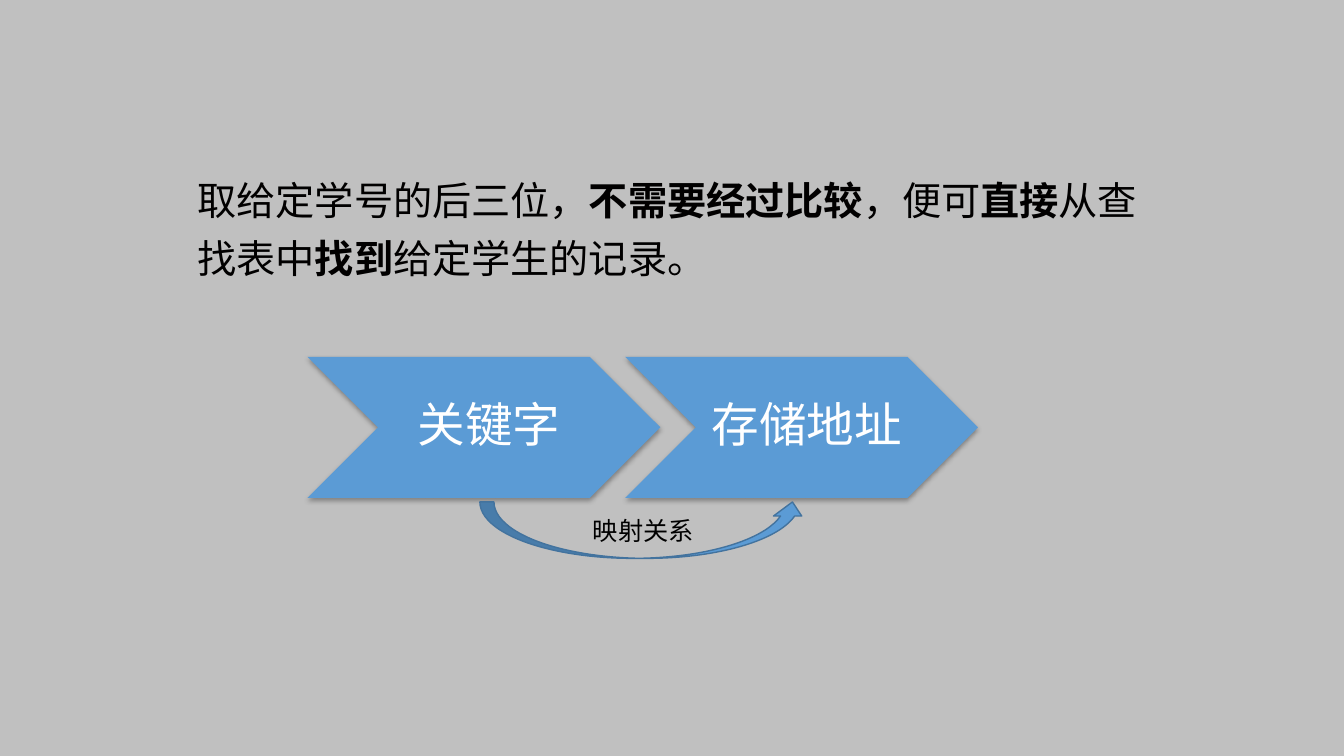
from lxml import etree
from pptx import Presentation
from pptx.dml.color import RGBColor
from pptx.enum import shapes, text
from pptx.oxml import ns
from pptx.util import Inches, Pt

COLORS = {
    "background": "C0C0C0",
    "body": "010000",
    "label": "000000",
    "step_text": "FFFFFF",
    "blue": "5B9BD5",
    "outline": "43739E",
    "shadow": "000000",
}
FONT = "Noto Sans CJK SC"


def color(name):
    return RGBColor.from_string(COLORS[name])


def write(frame, runs, size, color_name, align=None, line_spacing=None):
    """Fill the first paragraph with (text, bold) runs."""
    paragraph = frame.paragraphs[0]
    paragraph.alignment = align
    paragraph.line_spacing = line_spacing
    for words, bold in runs:
        run = paragraph.add_run()
        run.text = words
        run.font.size = Pt(size)
        run.font.bold = bold
        run.font.color.rgb = color(color_name)
        run.font.name = FONT
        east_asian = etree.SubElement(run.font._element, ns.qn("a:ea"))
        east_asian.set("typeface", FONT)


def add_soft_shadow(shape):
    effects = shape._element.spPr.find(ns.qn("a:effectLst"))
    shadow = etree.SubElement(effects, ns.qn("a:outerShdw"), blurRad=str(Pt(3.5)),
                              dist=str(Pt(2.2)), dir="5400000", rotWithShape="0")
    tint = etree.SubElement(shadow, ns.qn("a:srgbClr"), val=COLORS["shadow"])
    etree.SubElement(tint, ns.qn("a:alpha"), val="32000")


def add_blue_shape(slide, kind, left, top, width, height):
    shape = slide.shapes.add_shape(kind, Inches(left), Inches(top),
                                   Inches(width), Inches(height))
    shape.shadow.inherit = False
    shape.fill.solid()
    shape.fill.fore_color.rgb = color("blue")
    shape.text_frame.vertical_anchor = text.MSO_ANCHOR.MIDDLE
    return shape


def add_statement(slide, left, top, width, height):
    box = slide.shapes.add_textbox(Inches(left), Inches(top),
                                   Inches(width), Inches(height))
    frame = box.text_frame
    frame.word_wrap = True
    frame.auto_size = text.MSO_AUTO_SIZE.SHAPE_TO_FIT_TEXT
    runs = [
        ("取给定学号的后三位，", False),
        ("不需要经过比较", True),
        ("，便可", False),
        ("直接", True),
        ("从查找表中", False),
        ("找到", True),
        ("给定学生的记录。", False),
    ]
    write(frame, runs, size=28, color_name="body", line_spacing=1.25)


def add_mapping(slide, left, top, width, height):
    # Chevrons: each starts nine tenths of a chevron after the one before
    chevron_width = width / 1.9
    for index, name in enumerate(["关键字", "存储地址"]):
        chevron = add_blue_shape(slide, shapes.MSO_SHAPE.CHEVRON,
                                 left + index * 0.9 * chevron_width, top,
                                 chevron_width, height)
        chevron.line.fill.background()
        add_soft_shadow(chevron)
        frame = chevron.text_frame
        frame.margin_left = Inches(0.15)
        frame.margin_top = frame.margin_right = frame.margin_bottom = Inches(0.05)
        write(frame, [(name, False)], size=34, color_name="step_text",
              align=text.PP_ALIGN.CENTER, line_spacing=0.9)

    # Curved arrow from the key to its address
    arrow = add_blue_shape(slide, shapes.MSO_SHAPE.CURVED_UP_ARROW,
                           left + 1.71, top + height + 0.04, 3.24, 0.56)
    arrow.line.color.rgb = color("outline")
    arrow.line.width = Pt(1)
    write(arrow.text_frame, [("映射关系", False)], size=18, color_name="label",
          align=text.PP_ALIGN.CENTER)


def main():
    presentation = Presentation()
    presentation.slide_width = Inches(13.33)
    presentation.slide_height = Inches(7.5)
    slide = presentation.slides.add_slide(presentation.slide_layouts[6])
    slide.background.fill.solid()
    slide.background.fill.fore_color.rgb = color("background")
    add_statement(slide, 1.86, 1.58, 9.63, 1.28)
    add_mapping(slide, 3.05, 3.54, 6.65, 1.4)
    presentation.save("out.pptx")


if __name__ == "__main__":
    main()
